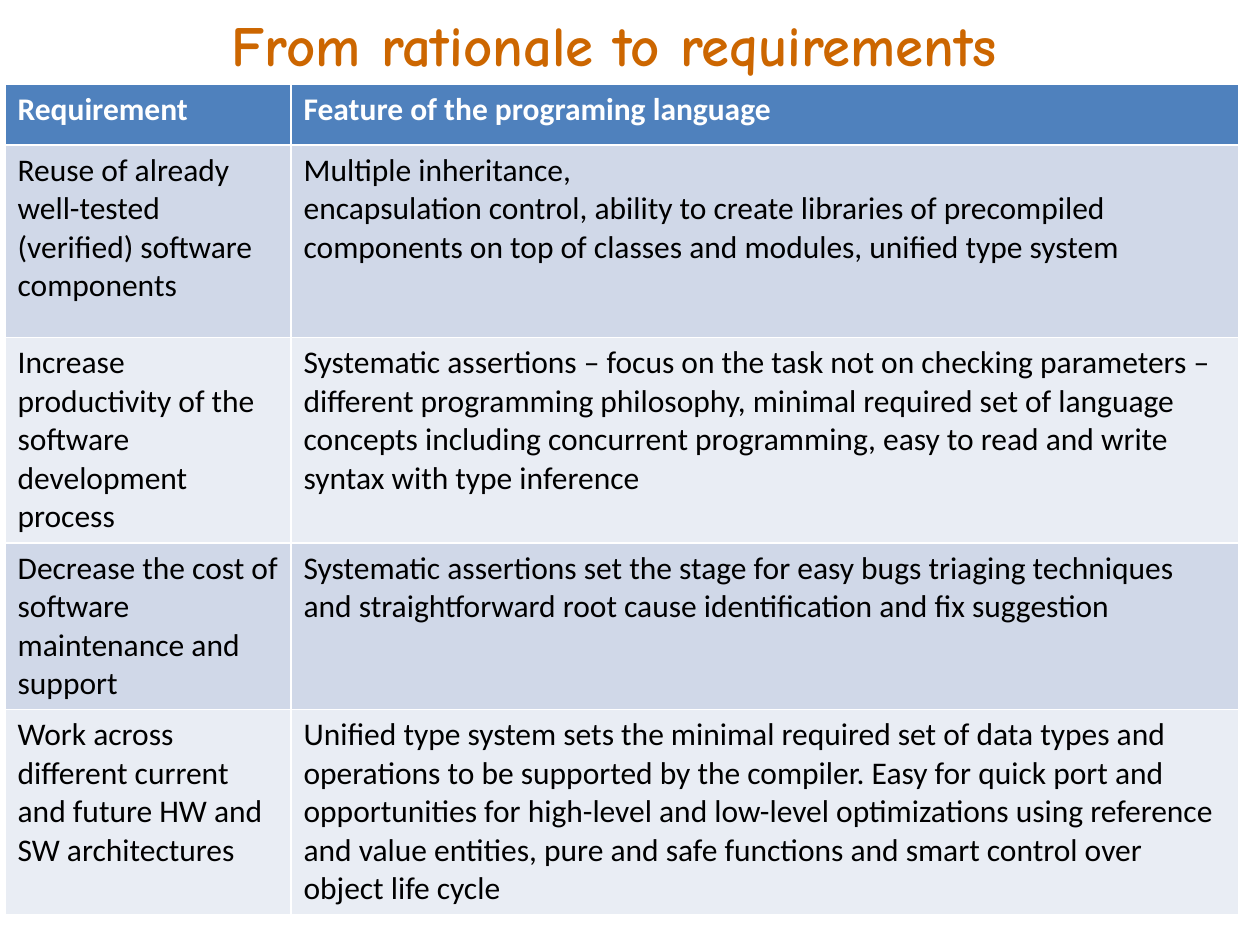
from pptx import Presentation
from pptx.dml.color import RGBColor
from pptx.enum.text import MSO_ANCHOR, MSO_AUTO_SIZE, PP_ALIGN
from pptx.util import Inches, Pt


def color(value):
    return RGBColor.from_string(value)


presentation = Presentation()
presentation.slide_width = Inches(10)
presentation.slide_height = Inches(7.5)
slide = presentation.slides.add_slide(presentation.slide_layouts[5])

title = slide.shapes.title
title.left, title.top = Inches(1.17), 0
title.width, title.height = Inches(7.41), Inches(0.7)
title.text_frame.text = "From rationale to requirements"
title.text_frame.auto_size = MSO_AUTO_SIZE.NONE
title.text_frame.vertical_anchor = MSO_ANCHOR.MIDDLE
heading = title.text_frame.paragraphs[0]
heading.alignment = PP_ALIGN.CENTER
heading.font.name = "Comic Neue"
heading.font.size = Pt(32.4)
heading.font.bold = True
heading.font.color.rgb = color("CC6600")

rows = [
    ("Requirement", "Feature of the programing language"),
    ("Reuse of already well-tested (verified) software components",
     "Multiple inheritance,\n"
     "encapsulation control, ability to create libraries of precompiled components "
     "on top of classes and modules, unified type system"),
    ("Increase productivity of the software development process",
     "Systematic assertions – focus on the task not on checking parameters – "
     "different programming philosophy, minimal required set of language concepts "
     "including concurrent programming, easy to read and write syntax with type inference"),
    ("Decrease the cost of software maintenance and support",
     "Systematic assertions set the stage for easy bugs triaging techniques and "
     "straightforward root cause identification and fix suggestion"),
    ("Work across different current and future HW and SW architectures",
     "Unified type system sets the minimal required set of data types and operations "
     "to be supported by the compiler. Easy for quick port and opportunities for "
     "high-level and low-level optimizations using reference and value entities, "
     "pure and safe functions and smart control over object life cycle"),
]
column_widths = [2.27, 7.52]
row_heights = [0.48, 1.53, 1.63, 1.32, 1.62]
band_fills = ["E9EDF4", "D0D8E8"]

table = slide.shapes.add_table(
    len(rows), len(column_widths), Inches(0.04), Inches(0.67),
    Inches(sum(column_widths)), Inches(sum(row_heights))).table
for column, width in zip(table.columns, column_widths):
    column.width = Inches(width)

for row_index, (texts, height) in enumerate(zip(rows, row_heights)):
    is_header = row_index == 0
    table.rows[row_index].height = Inches(height)
    for cell, text in zip(table.rows[row_index].cells, texts):
        cell.text = text
        cell.fill.solid()
        cell.fill.fore_color.rgb = color("4F81BD" if is_header else band_fills[row_index % 2])
        for paragraph in cell.text_frame.paragraphs:
            paragraph.font.name = "Calibri"
            paragraph.font.size = Pt(18)
            paragraph.font.bold = is_header
            paragraph.font.color.rgb = color("FFFFFF" if is_header else "000000")

presentation.save("out.pptx")
